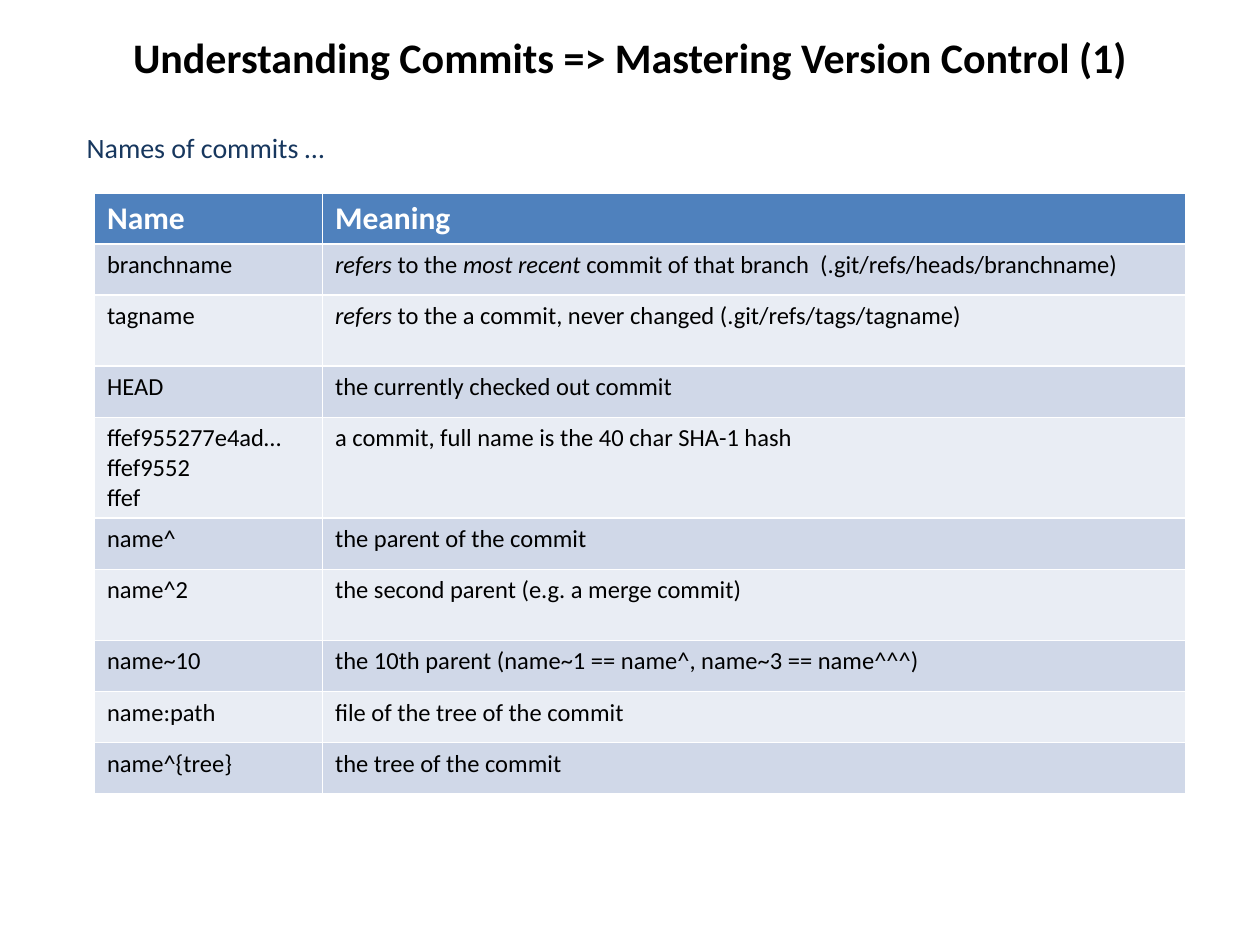
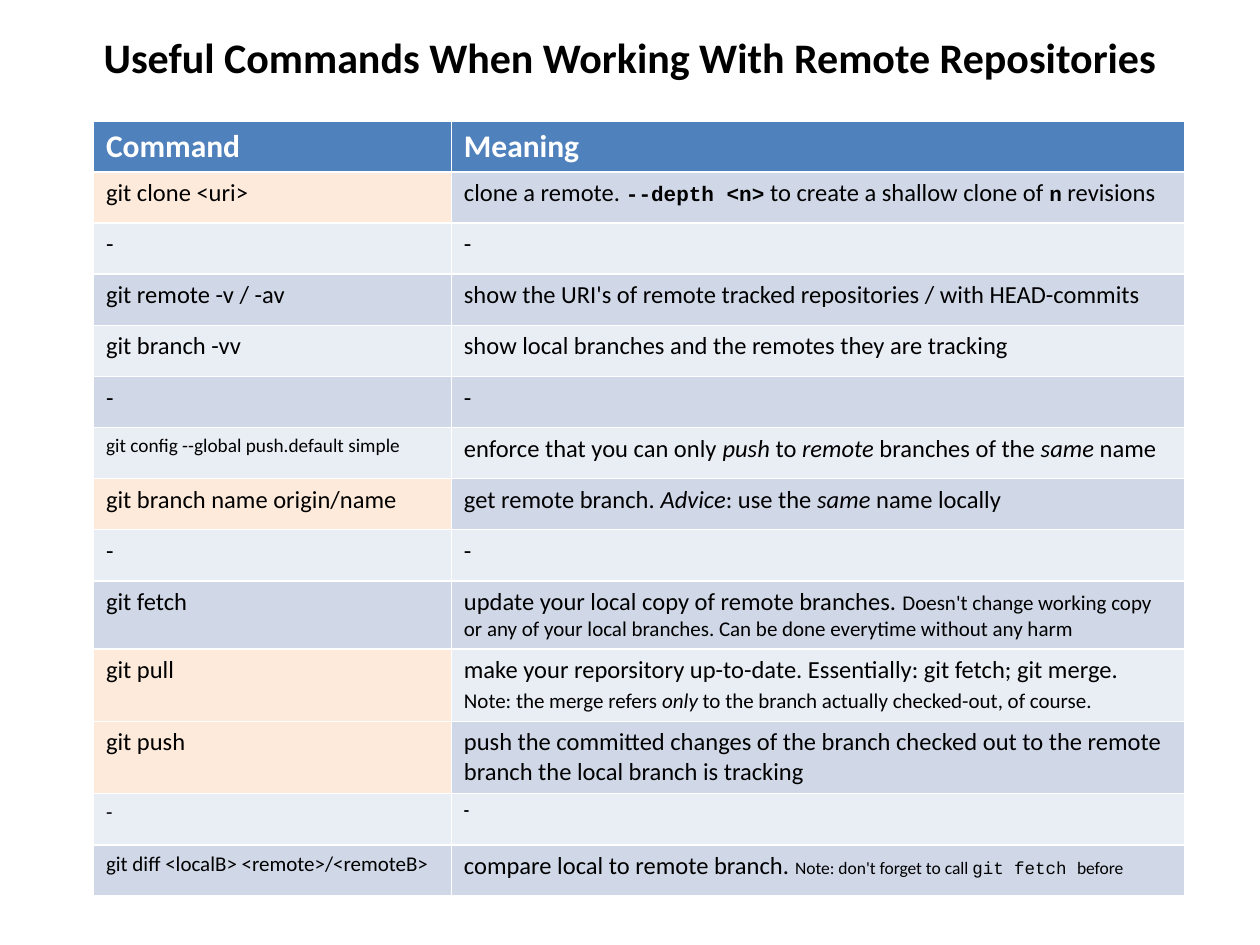
from dataclasses import dataclass, field

from pptx import Presentation
from pptx.dml.color import RGBColor
from pptx.enum.text import MSO_ANCHOR, MSO_AUTO_SIZE, PP_ALIGN
from pptx.util import Pt

MIDDLE = MSO_ANCHOR.MIDDLE
GROW, FIXED = MSO_AUTO_SIZE.SHAPE_TO_FIT_TEXT, MSO_AUTO_SIZE.NONE
CENTER = PP_ALIGN.CENTER
TITLE_ONLY = 5

# Shared colours and measures
BLACK, WHITE, NAVY = "000000", "FFFFFF", "17375E"
HEAD, HOT = "4F81BD", "FDEADA"
BANDS = ("D0D8E8", "E9EDF4")
ROW, TALL = 29.2, 40.6

# Text formats
TITLE = {"name": "Calibri", "size": Pt(24), "bold": True, "color": BLACK}
INTRO = {"name": "Calibri", "size": Pt(16), "color": NAVY}
TOP = {"name": "Calibri", "size": Pt(18), "bold": True, "color": WHITE}
BODY = {"name": "Calibri", "size": Pt(14), "bold": False, "italic": False, "color": BLACK}
ITAL = {"italic": True}
CODE = {"name": "Courier New", "size": Pt(12), "bold": True}
NOTE = {"size": Pt(12)}
SMALL = {"size": Pt(11)}
TINY = {"size": Pt(10)}


@dataclass
class Run:
    text: str
    form: dict = field(default_factory=dict)


@dataclass
class Row:
    name: Run
    sense: list[Run]
    hot: bool = False
    height: float = ROW


@dataclass
class Grid:
    left: float
    top: float
    cols: tuple[float, float]
    heads: tuple[str, str]
    rows: list[Row]


def color(code: str) -> RGBColor:
    return RGBColor.from_string(code)


def style(font, form: dict) -> None:
    for key, value in form.items():
        if key == "color":
            font.color.rgb = color(value)
        else:
            setattr(font, key, value)


def write(frame, runs: list[Run], base: dict) -> None:
    """Fill the first paragraph; a newline in a run becomes a line break."""
    para = frame.paragraphs[0]
    for item in runs:
        for num, part in enumerate(item.text.split("\n")):
            if num:
                para.add_line_break()
            if part:
                run = para.add_run()
                run.text = part
                style(run.font, base | item.form)


def add_page(deck, title: str):
    page = deck.slides.add_slide(deck.slide_layouts[TITLE_ONLY])
    shape = page.shapes.title
    place = {"left": 20.2, "top": 9.4, "width": 679.6, "height": 45.4}
    for key, value in place.items():
        setattr(shape, key, Pt(value))
    frame = shape.text_frame
    frame.vertical_anchor = MIDDLE
    frame.auto_size = FIXED
    frame.paragraphs[0].alignment = CENTER
    write(frame, [Run(title)], TITLE)
    return page


def add_intro(page, text: str) -> None:
    box = page.shapes.add_textbox(Pt(42.5), Pt(71.3), Pt(652.3), Pt(26.6))
    frame = box.text_frame
    frame.word_wrap = True
    frame.auto_size = GROW
    write(frame, [Run(text)], INTRO)


def fill_cell(cell, runs: list[Run], base: dict, tint: str) -> None:
    cell.fill.solid()
    cell.fill.fore_color.rgb = color(tint)
    write(cell.text_frame, runs, base)


def add_grid(page, grid: Grid) -> None:
    high = ROW + sum(row.height for row in grid.rows)
    table = page.shapes.add_table(
        len(grid.rows) + 1, 2, Pt(grid.left), Pt(grid.top), Pt(sum(grid.cols)), Pt(high)
    ).table
    for col, width in zip(table.columns, grid.cols):
        col.width = Pt(width)

    # Heading row
    table.rows[0].height = Pt(ROW)
    for num, text in enumerate(grid.heads):
        fill_cell(table.cell(0, num), [Run(text)], TOP, HEAD)

    # Banded body, with marked names
    for num, row in enumerate(grid.rows):
        band = BANDS[num % 2]
        table.rows[num + 1].height = Pt(row.height)
        fill_cell(table.cell(num + 1, 0), [row.name], BODY, HOT if row.hot else band)
        fill_cell(table.cell(num + 1, 1), row.sense, BODY, band)


GAP = Row(Run("-"), [Run("-")])

NAMES = Grid(54, 110.3, (130.3, 493.2), ("Name", "Meaning"), [
    Row(Run("branchname"), [
        Run("refers ", ITAL), Run("to the "), Run("most recent", ITAL),
        Run(" commit of that branch  (.git/refs/heads/branchname)")]),
    Row(Run("tagname"), [
        Run("refers ", ITAL),
        Run("to the a commit, never changed (.git/refs/tags/tagname)")], height=TALL),
    Row(Run("HEAD"), [Run("the currently checked out commit")]),
    Row(Run("ffef955277e4ad…\nffef9552\nffef"),
        [Run("a commit, full name is the 40 char SHA-1 hash")], height=57.2),
    Row(Run("name^"), [Run("the parent of the commit")]),
    Row(Run("name^2"), [Run("the second parent (e.g. a merge commit)")], height=TALL),
    Row(Run("name~10"), [Run("the 10th parent (name~1 == name^, name~3 == name^^^)")]),
    Row(Run("name:path"), [Run("file of the tree of the commit")]),
    Row(Run("name^{tree}"), [Run("the tree of the commit")]),
])

REMOTE = Grid(53.4, 69.1, (204.5, 419), ("Command", "Meaning"), [
    Row(Run("git clone <uri>"), [
        Run("clone a remote. "), Run("--depth <n>", CODE),
        Run(" to create a shallow clone of "), Run("n", CODE), Run(" revisions")], hot=True),
    GAP,
    Row(Run("git remote -v / -av"),
        [Run("show the URI's of remote tracked repositories / with HEAD-commits")]),
    Row(Run("git branch -vv"),
        [Run("show local branches and the remotes they are tracking")]),
    GAP,
    Row(Run("git config --global push.default simple", SMALL), [
        Run("enforce that you can only "), Run("push ", ITAL), Run("to "),
        Run("remote ", ITAL), Run("branches of the "), Run("same ", ITAL), Run("name")]),
    Row(Run("git branch name origin/name"), [
        Run("get remote branch. "), Run("Advice", ITAL), Run(": use the "),
        Run("same ", ITAL), Run("name locally")], hot=True),
    GAP,
    Row(Run("git fetch"), [
        Run("update your local copy of remote branches. "),
        Run("Doesn't change working copy or any of your local branches. "
            "Can be done everytime without any harm", NOTE)], height=38.6),
    Row(Run("git pull"), [
        Run("make your reporsitory up-to-date. Essentially: git fetch; git merge.\n"),
        Run("Note: the merge refers ", NOTE), Run("only ", NOTE | ITAL),
        Run("to the branch actually checked-out, of course.", NOTE), Run(" ")],
        hot=True, height=41.4),
    Row(Run("git push"), [
        Run("push the committed changes of the branch checked out to the remote "
            "branch the local branch is tracking")], hot=True, height=41.4),
    Row(Run("-", NOTE), [Run("-", TINY | {"bold": True})]),
    Row(Run("git diff <localB> <remote>/<remoteB>", NOTE), [
        Run("compare local to remote branch. "), Run("Note: don't forget to call ", TINY),
        Run("git fetch ", TINY | {"name": "Courier New"}), Run("before", TINY)]),
])


def main() -> None:
    deck = Presentation()
    deck.slide_width, deck.slide_height = Pt(720), Pt(540)

    # Names of commits
    page = add_page(deck, "Understanding Commits => Mastering Version Control (1)")
    add_intro(page, "Names of commits …")
    add_grid(page, NAMES)

    # Remote commands
    page = add_page(deck, "Useful Commands When Working With Remote Repositories")
    add_grid(page, REMOTE)

    deck.save("out.pptx")


if __name__ == "__main__":
    main()
